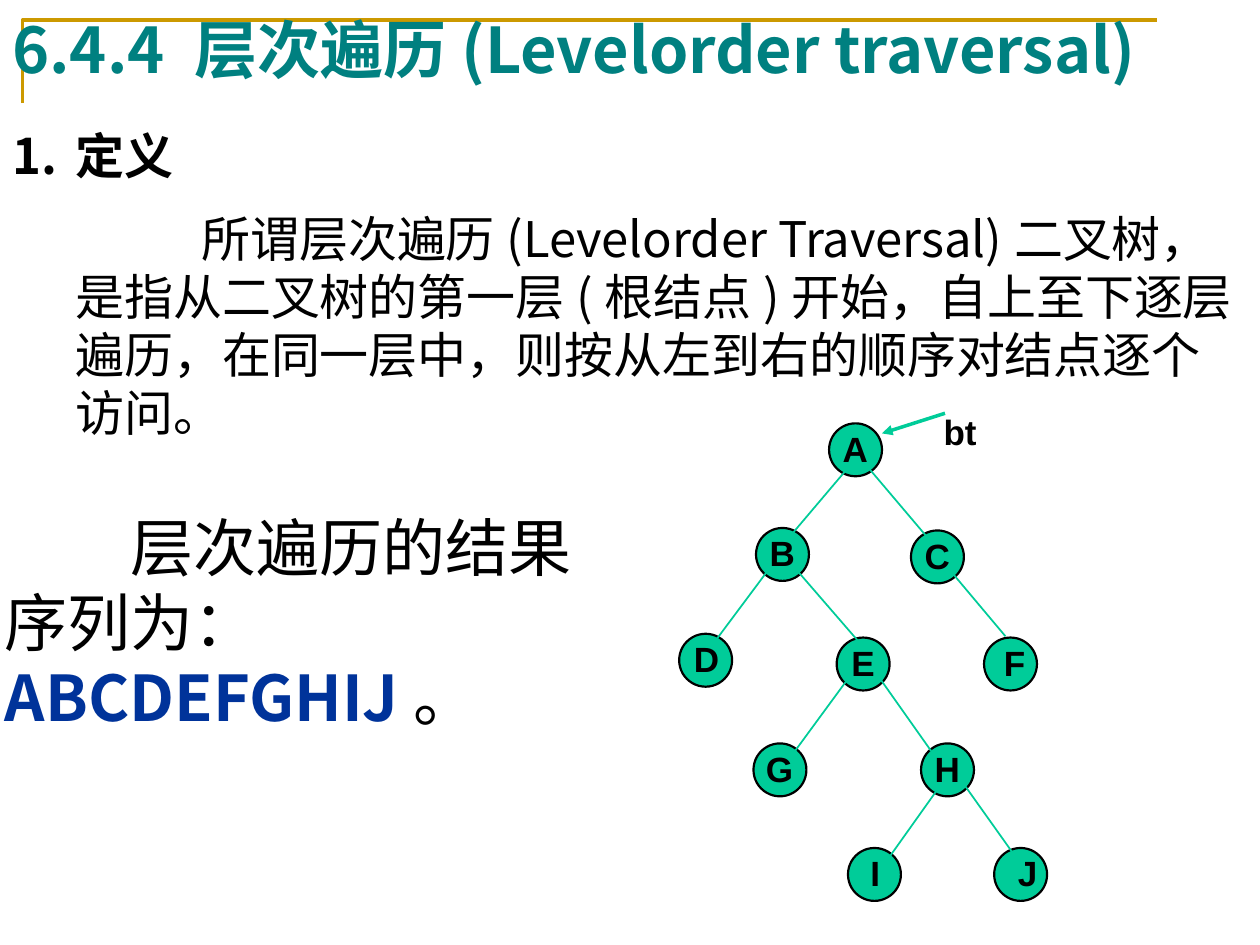
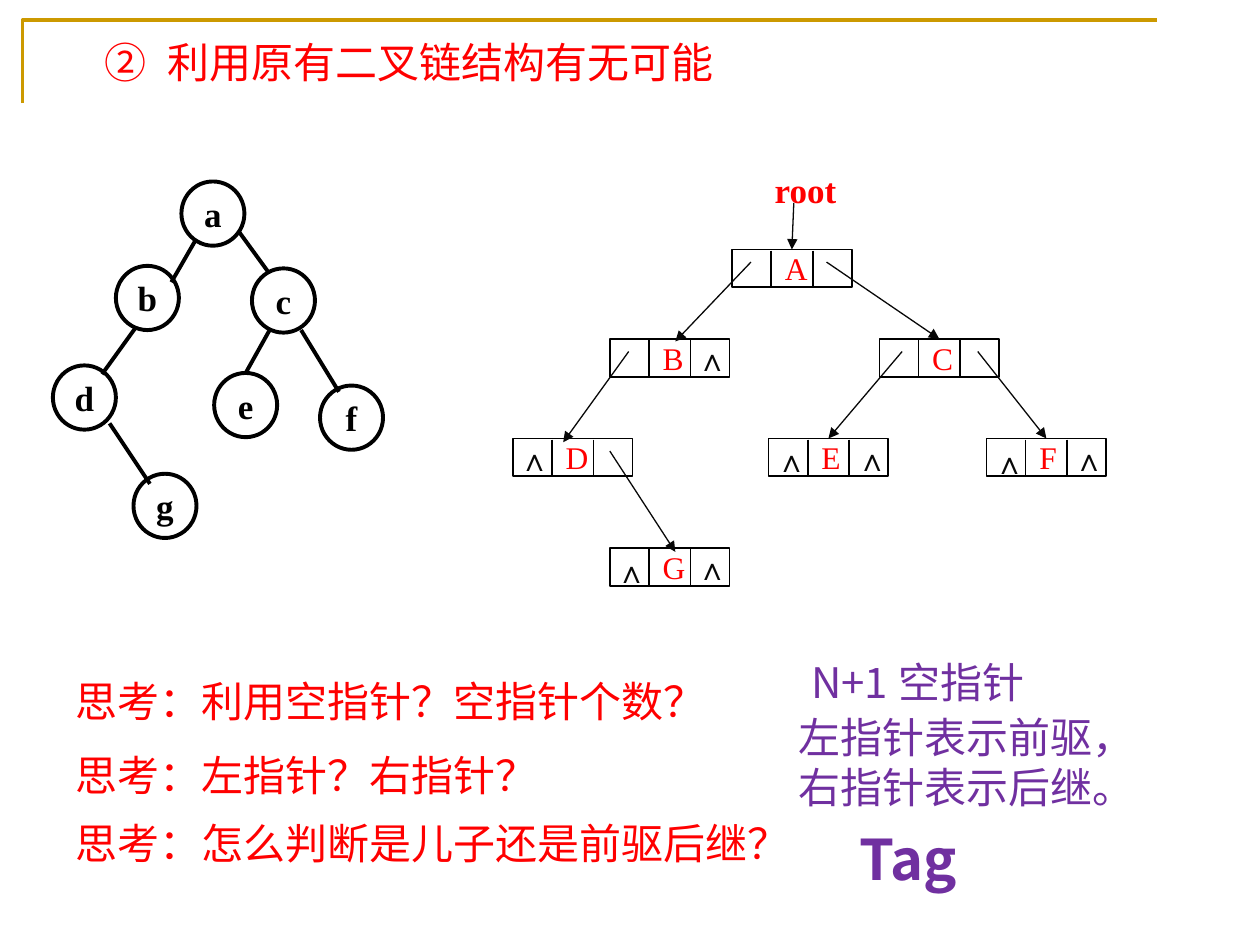
from dataclasses import dataclass, replace

from lxml import etree
from pptx import Presentation
from pptx import util as u
from pptx.dml.color import RGBColor
from pptx.enum import shapes, text
from pptx.oxml import ns

SANS_JP, SANS_SC = "Noto Sans CJK JP", "Noto Sans CJK SC"
ARIAL, TIMES = "Arial", "Times New Roman"
BLACK, INK, WHITE, RED = "000000", "080808", "FFFFFF", "FF0000"
TEAL, NAVY, GREEN, PURPLE, GOLD = "008080", "00339A", "00CC99", "7030A0", "CC9900"


@dataclass(frozen=True)
class Style:
    """Character formatting."""
    size: int
    font: str
    color: str
    bold: bool = False


@dataclass(frozen=True)
class Span:
    """Text in one style."""
    words: str
    style: Style


@dataclass(frozen=True)
class Block:
    """A paragraph with lengths in inches and space before in points."""
    spans: tuple[Span, ...]
    margin: float = 0
    indent: float = 0
    before: int = 0
    tab: float = 0
    number_from: int = 0
    centered: bool = False


@dataclass(frozen=True)
class TreeNode:
    """A round node and its separately placed letter."""
    letter: str
    left: float
    top: float
    label_left: float
    label_width: float = 0.4


@dataclass(frozen=True)
class Record:
    """A three-part linked node with offsets of its null marks."""
    letter: str
    left: float
    top: float
    nulls: tuple[tuple[float, float], ...] = ()


@dataclass(frozen=True)
class Stroke:
    """A line or arrow, joined to the top of a named record if given."""
    x1: float
    y1: float
    x2: float
    y2: float
    target: str = ""


TITLE = Style(36, SANS_JP, TEAL, True)
HEADING = Style(28, SANS_JP, BLACK, True)
BODY = Style(28, SANS_SC, BLACK)
RESULT = Style(36, SANS_SC, BLACK)
LETTER = Style(20, ARIAL, BLACK, True)
CIRCLE = Style(20, TIMES, BLACK, True)
ROOT = Style(20, TIMES, RED, True)
FIELD = Style(18, TIMES, RED)
NULL = Style(18, TIMES, INK)
QUESTION = Style(24, SANS_JP, RED)
ANSWER = Style(24, SANS_JP, PURPLE)
TAG = Style(32, SANS_SC, PURPLE, True)

LEVEL_NODES = (
    TreeNode("A", 6.58, 3.36, 6.59), TreeNode("B", 6, 4.19, 6.01),
    TreeNode("C", 7.23, 4.21, 7.24), TreeNode("D", 5.39, 5.03, 5.41),
    TreeNode("E", 6.64, 5.06, 6.66), TreeNode("F", 7.81, 5.06, 7.87, 0.37),
    TreeNode("G", 5.98, 5.9, 5.98, 0.42), TreeNode("H", 7.31, 5.9, 7.32),
    TreeNode("I", 6.73, 6.73, 6.81, 0.28), TreeNode("J", 7.89, 6.73, 7.98, 0.36),
)
LEVEL_EDGES = (
    Stroke(6.25, 4.44, 6.83, 5.11), Stroke(6.75, 3.69, 6.25, 4.28),
    Stroke(6.16, 4.44, 5.66, 5.11), Stroke(6.75, 5.36, 6.31, 5.96),
    Stroke(6.98, 5.38, 7.39, 5.96), Stroke(6.89, 3.71, 7.39, 4.3),
    Stroke(7.56, 4.55, 7.98, 5.05), Stroke(7.48, 6.21, 7.06, 6.8),
    Stroke(7.64, 6.21, 8.06, 6.8),
)
RECORDS = (
    Record("A", 5.81, 1.98),
    Record("B", 4.84, 2.69, ((0.59, -0.04),)),
    Record("C", 6.98, 2.69),
    Record("D", 4.07, 3.48, ((-0.05, -0.04),)),
    Record("E", 6.1, 3.48, ((-0.04, -0.03), (0.6, -0.04))),
    Record("F", 7.83, 3.48, ((-0.04, -0.01), (0.59, -0.04))),
    Record("G", 4.84, 4.35, ((-0.05, -0.02), (0.59, -0.04))),
)
POINTERS = (
    Stroke(6.3, 1.61, 6.3, 2, "A"), Stroke(5.96, 2.08, 5.36, 2.71),
    Stroke(6.56, 2.08, 7.46, 2.71, "C"), Stroke(4.99, 2.79, 4.47, 3.51),
    Stroke(4.84, 3.58, 5.36, 4.38), Stroke(7.16, 2.79, 6.58, 3.51, "E"),
    Stroke(7.76, 2.79, 8.28, 3.51, "F"),
)
CIRCLES = (
    ("a", 1.44, 1.44), ("b", 0.92, 2.11), ("c", 2, 2.13), ("d", 0.42, 2.9),
    ("e", 1.7, 2.96), ("f", 2.54, 3.06), ("g", 1.06, 3.76),
)
CIRCLE_EDGES = (
    Stroke(1.55, 1.91, 1.36, 2.24), Stroke(1.07, 2.61, 0.81, 2.97),
    Stroke(1.89, 1.83, 2.13, 2.16), Stroke(2.14, 2.62, 1.95, 2.96),
    Stroke(0.87, 3.36, 1.19, 3.84), Stroke(2.39, 2.62, 2.69, 3.11),
)
REMARKS = (
    ("思考：利用空指针？空指针个数？", QUESTION, (0, 5.28, 5.89, 0.51)),
    ("N+1空指针", ANSWER, (5.84, 5.13, 3.57, 0.51)),
    ("思考：左指针？右指针？", QUESTION, (0, 5.87, 6.92, 0.51)),
    ("左指针表示前驱，右指针表示后继。", ANSWER, (5.74, 5.57, 3.57, 0.91)),
    ("思考：怎么判断是儿子还是前驱后继？", QUESTION, (0, 6.41, 6.92, 0.51)),
)


def rgb(color: str) -> RGBColor:
    """Turn a hex string into a colour."""
    return RGBColor.from_string(color)


def add_element(parent, tag: str, **attributes: str):
    """Append a DrawingML element."""
    return etree.SubElement(parent, ns.qn(f"a:{tag}"), attributes)


def set_font(font, style: Style) -> None:
    """Apply a style, for Latin and East Asian text alike."""
    font.size = u.Pt(style.size)
    font.bold = style.bold
    font.color.rgb = rgb(style.color)
    font.name = style.font
    add_element(font._element if hasattr(font, "_element") else font._rPr,
                "ea", typeface=style.font)


def fill_paragraph(paragraph, block: Block) -> None:
    """Write a block into a paragraph."""
    properties = paragraph._p.get_or_add_pPr()
    properties.set("marL", str(u.Inches(block.margin)))
    properties.set("indent", str(u.Inches(block.indent)))
    if block.number_from:
        add_element(properties, "buAutoNum", type="circleNumDbPlain",
                    startAt=str(block.number_from))
    if block.tab:
        stops = add_element(properties, "tabLst")
        add_element(stops, "tab", pos=str(u.Inches(block.tab)), algn="l")
    first = block.spans[0].style
    if first.font in (SANS_JP, SANS_SC):
        paragraph.line_spacing = u.Pt(round(first.size * 1.19, 1))
    if block.before:
        paragraph.space_before = u.Pt(block.before)
    paragraph.alignment = text.PP_ALIGN.CENTER if block.centered else text.PP_ALIGN.LEFT
    for span in block.spans:
        run = paragraph.add_run()
        run.text = span.words
        if len(block.spans) > 1:
            set_font(run.font, span.style)
    if len(block.spans) == 1:
        set_font(paragraph.font, first)


def add_text(slide, box: tuple[float, ...], *blocks: Block, wrap: bool = True) -> None:
    """Add a text box holding the blocks."""
    frame = slide.shapes.add_textbox(*map(u.Inches, box)).text_frame
    frame.word_wrap = wrap
    frame.auto_size = text.MSO_AUTO_SIZE.NONE
    first = blocks[0].spans[0].style
    if first.font in (SANS_JP, SANS_SC):
        frame.margin_top = u.Inches(round(0.05 + first.size * 0.08 / 72, 2))
    for index, block in enumerate(blocks):
        paragraph = frame.add_paragraph() if index else frame.paragraphs[0]
        fill_paragraph(paragraph, block)


def add_label(slide, words: str, style: Style, box: tuple[float, ...]) -> None:
    """Add a short unwrapped label."""
    add_text(slide, box, Block((Span(words, style),)), wrap=False)


def add_outline(slide, kind, box: tuple[float, ...], weight: float, fill: str = ""):
    """Add a black-outlined preset shape."""
    shape = slide.shapes.add_shape(kind, *map(u.Inches, box))
    shape.shadow.inherit = False
    if fill:
        shape.fill.solid()
        shape.fill.fore_color.rgb = rgb(fill)
    else:
        shape.fill.background()
    shape.line.color.rgb = rgb(BLACK)
    shape.line.width = u.Pt(weight)
    return shape


def add_stroke(slide, stroke: Stroke, color: str, weight: float,
               arrow: bool = False, target=None) -> None:
    """Add a straight line, with an arrowhead if wanted."""
    ends = map(u.Inches, (stroke.x1, stroke.y1, stroke.x2, stroke.y2))
    connector = slide.shapes.add_connector(shapes.MSO_CONNECTOR.STRAIGHT, *ends)
    connector.line.color.rgb = rgb(color)
    connector.line.width = u.Pt(weight)
    if arrow:
        add_element(connector.line._get_or_add_ln(), "tailEnd", type="triangle")
    add_element(connector._element.spPr, "effectLst")
    if target is not None:
        connector.end_connect(target, 0)


def add_slide(presentation):
    """Add a blank slide with the gold corner frame."""
    slide = presentation.slides.add_slide(presentation.slide_layouts[6])
    left, top = u.Inches(0.18), u.Inches(0.16)
    builder = slide.shapes.build_freeform(left, u.Inches(0.82))
    builder.add_line_segments([(left, top), (u.Inches(9.18), top)], close=False)
    corner = builder.convert_to_shape()
    corner.shadow.inherit = False
    corner.fill.background()
    corner.line.color.rgb = rgb(GOLD)
    corner.line.width = u.Pt(2)
    return slide


def add_record(slide, record: Record):
    """Draw a linked node and return its frame."""
    left, top = record.left, record.top
    frame = add_outline(slide, shapes.MSO_SHAPE.RECTANGLE, (left, top, 0.95, 0.3), 1)
    for offset in (0.31, 0.64):
        divider = Stroke(left + offset, top + 0.01, left + offset, top + 0.3)
        add_stroke(slide, divider, BLACK, 1)
    add_label(slide, record.letter, FIELD, (left + 0.32, top - 0.05, 0.38, 0.4))
    for across, down in record.nulls:
        add_label(slide, "∧", NULL, (left + across, top + down, 0.45, 0.4))
    return frame


def build_level_order(presentation) -> None:
    """Build the slide defining level-order traversal."""
    slide = add_slide(presentation)
    add_text(slide, (0, 0, 10, 0.92),
             Block((Span("6.4.4 层次遍历(Levelorder traversal)", TITLE),)))
    definition = ("所谓层次遍历(Levelorder Traversal)二叉树，是指从二叉树的第一层(根结点)开始，"
                  "自上至下逐层遍历，在同一层中，则按从左到右的顺序对结点逐个访问。")
    add_text(slide, (0, 0.92, 10, 2.69),
             Block((Span("1.\t定义", HEADING),), tab=0.72),
             Block((Span(definition, BODY),), margin=0.5, indent=1, before=14))
    for node in LEVEL_NODES:
        add_outline(slide, shapes.MSO_SHAPE.OVAL, (node.left, node.top, 0.42, 0.42),
                    1.25, GREEN)
    add_label(slide, "bt", LETTER, (7.39, 3.21, 0.46, 0.43))
    for edge in LEVEL_EDGES:
        add_stroke(slide, edge, GREEN, 1)
    add_stroke(slide, Stroke(7.5, 3.28, 7, 3.44), GREEN, 2, arrow=True)
    for node in LEVEL_NODES:
        add_label(slide, node.letter, LETTER,
                  (node.label_left, node.top - 0.02, node.label_width, 0.43))
    sequence = replace(RESULT, color=NAVY, bold=True)
    add_text(slide, (-0.56, 3.95, 5.61, 1.31), Block(
        (Span("层次遍历的结果序列为： ", RESULT), Span("ABCDEFGHIJ", sequence),
         Span("。", RESULT)), margin=0.5, indent=1))


def build_linked_structure(presentation) -> None:
    """Build the slide about reusing the binary linked structure."""
    slide = add_slide(presentation)
    add_label(slide, "root", ROOT, (6.05, 1.29, 0.75, 0.43))
    frames = {record.letter: add_record(slide, record) for record in RECORDS}
    for pointer in POINTERS:
        add_stroke(slide, pointer, INK, 0.75, True, frames.get(pointer.target))
    for letter, left, top in CIRCLES:
        circle = add_outline(slide, shapes.MSO_SHAPE.OVAL, (left, top, 0.5, 0.51),
                             2.25, WHITE)
        circle.text_frame.word_wrap = False
        circle.text_frame.vertical_anchor = text.MSO_ANCHOR.MIDDLE
        fill_paragraph(circle.text_frame.paragraphs[0],
                       Block((Span(letter, CIRCLE),), centered=True))
    for edge in CIRCLE_EDGES:
        add_stroke(slide, edge, BLACK, 2.25)
    add_text(slide, (0.23, 0.21, 8.37, 0.51),
             Block((Span("利用原有二叉链结构有无可能", QUESTION),),
                   margin=1, indent=-0.5, number_from=2))
    for words, style, box in REMARKS:
        add_text(slide, box, Block((Span(words, style),), margin=0.5))
    add_text(slide, (6.62, 6.46, 1.18, 0.63),
             Block((Span("Tag", TAG),), centered=True))


def main() -> None:
    """Build and save the presentation."""
    presentation = Presentation()
    presentation.slide_width, presentation.slide_height = u.Inches(10), u.Inches(7.5)
    build_level_order(presentation)
    build_linked_structure(presentation)
    presentation.save("out.pptx")


if __name__ == "__main__":
    main()
